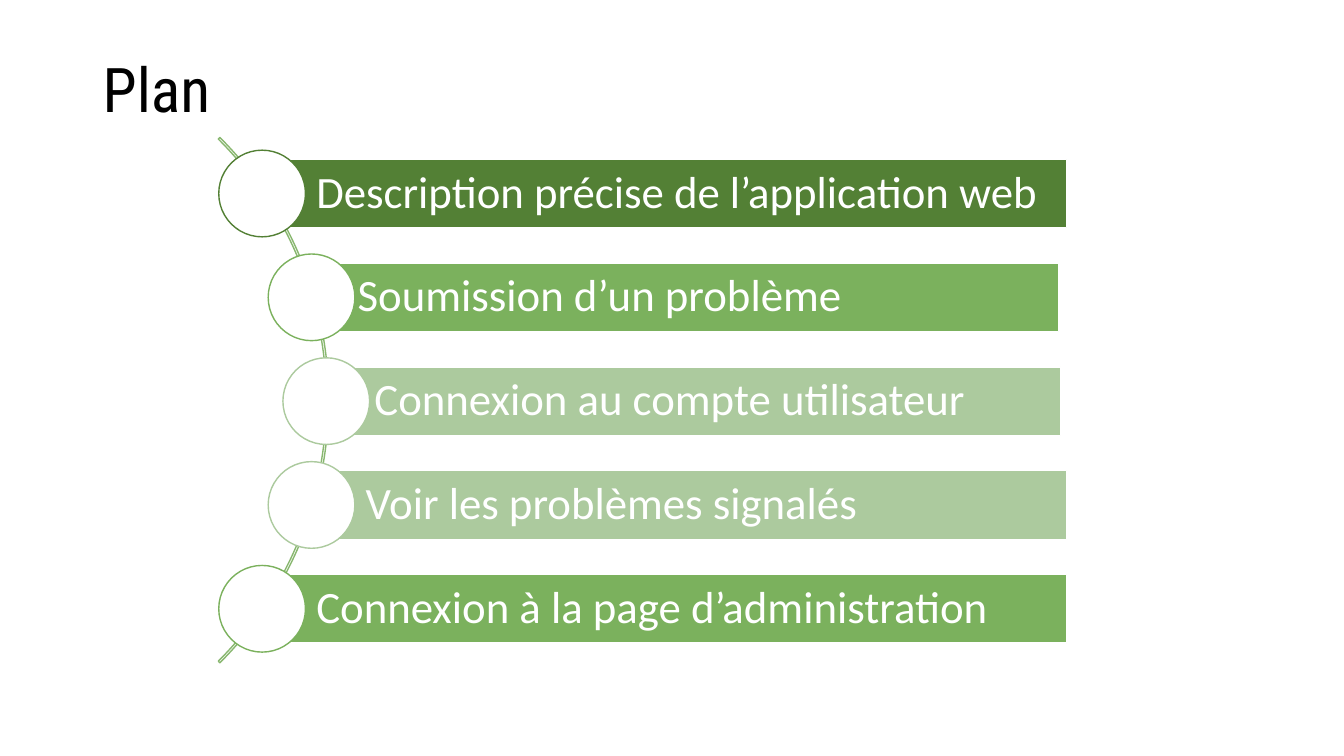
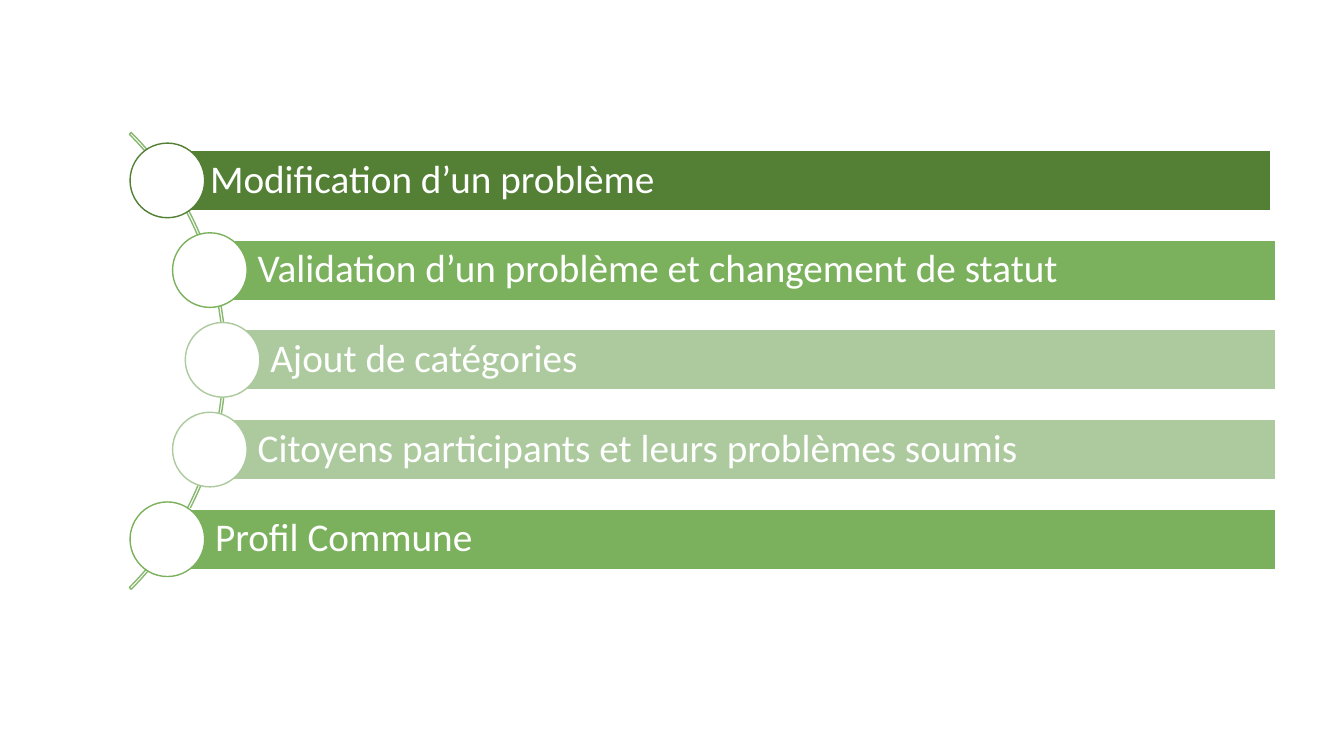
from pptx import Presentation
from pptx.dml.color import RGBColor
from pptx.enum.shapes import MSO_SHAPE as SHAPE
from pptx.enum.text import MSO_ANCHOR as ANCHOR, PP_ALIGN as ALIGN
from pptx.util import Inches, Pt

BLACK = RGBColor(0x00, 0x00, 0x00)
WHITE = RGBColor(0xFF, 0xFF, 0xFF)
DARK = RGBColor(0x53, 0x80, 0x35)
MEDIUM = RGBColor(0x7B, 0xB1, 0x5D)
LIGHT = RGBColor(0xAC, 0xCA, 0x9E)
ARC = RGBColor(0x88, 0xB7, 0x6F)

TITLE_FONT = "Roboto Condensed"
BODY_FONT = "Calibri"
ROW_COLORS = (DARK, MEDIUM, LIGHT, LIGHT, MEDIUM)
ROW_INDENTS = (0, 0.57, 0.74, 0.57, 0)


class Deck:
    def __init__(self):
        self.prs = Presentation()
        self.prs.slide_width = Inches(13.33)
        self.prs.slide_height = Inches(7.5)
        self.s = None

    def slide(self):
        self.s = self.prs.slides.add_slide(self.prs.slide_layouts[6])

    def text(self, sp, text, size, font, color, left=0.1, pad=0.05, right=0.1):
        tf = sp.text_frame
        tf.word_wrap = True
        tf.vertical_anchor = ANCHOR.MIDDLE
        tf.margin_left, tf.margin_right = Inches(left), Inches(right)
        tf.margin_top = tf.margin_bottom = Inches(pad)
        p = tf.paragraphs[0]
        p.alignment = ALIGN.LEFT
        p.line_spacing = 0.9
        r = p.add_run()
        r.text = text
        r.font.size, r.font.name = Pt(size), font
        r.font.color.rgb = color

    def title(self, text):
        sp = self.s.shapes.add_textbox(
            Inches(0.92), Inches(0.19), Inches(11.5), Inches(1.45))
        self.text(sp, text, 44, TITLE_FONT, BLACK)

    def shape(self, kind, x, y, w, h, fill, line):
        sp = self.s.shapes.add_shape(
            kind, Inches(x), Inches(y), Inches(w), Inches(h))
        sp.shadow.inherit = False
        if fill is None:
            sp.fill.background()
        else:
            sp.fill.solid()
            sp.fill.fore_color.rgb = fill
        sp.line.color.rgb = line
        sp.line.width = Pt(1)
        return sp

    def arc(self, x, middle, size, thickness):
        sp = self.shape(SHAPE.BLOCK_ARC, x, middle - size / 2, size, size, None, ARC)
        for i, value in enumerate((189, 27, thickness)):
            sp.adjustments[i] = value

    def curved_list(self, rows, left, top, pitch, circle, bar, right, size, pad):
        for i, (text, shift) in enumerate(rows):
            color = ROW_COLORS[i]
            x = left + ROW_INDENTS[i] * circle
            y = top + i * pitch
            center = x + circle / 2
            sp = self.shape(SHAPE.RECTANGLE, center + shift, y + (circle - bar) / 2,
                            right - center, bar, color, WHITE)
            self.text(sp, text, size, BODY_FONT, WHITE, 0.79 * bar, pad, pad)
            self.shape(SHAPE.OVAL, x, y, circle, circle, WHITE, color)


def main():
    deck = Deck()

    deck.slide()
    deck.title("Plan")
    deck.arc(-4.11, 3.97, 7.37, 0.003)
    deck.curved_list(
        [("Description précise de l’application web", 0),
         ("Soumission d’un problème", -0.08),
         ("Connexion au compte utilisateur", -0.06),
         ("Voir les problèmes signalés", 0),
         ("Connexion à la page d’administration", 0)],
        left=2.17, top=1.49, pitch=1.03, circle=0.86, bar=0.68,
        right=10.58, size=32, pad=0.09)

    deck.slide()
    deck.arc(-4.17, 3.58, 6.41, 0.004)
    deck.curved_list(
        [("Modification d’un problème", -0.05),
         ("Validation d’un problème et changement de statut", 0),
         ("Ajout de catégories", 0),
         ("Citoyens participants et leurs problèmes soumis", 0),
         ("Profil Commune", 0)],
        left=1.29, top=1.42, pitch=0.89, circle=0.74, bar=0.6,
        right=12.65, size=28, pad=0.08)

    deck.prs.save("out.pptx")


if __name__ == "__main__":
    main()
